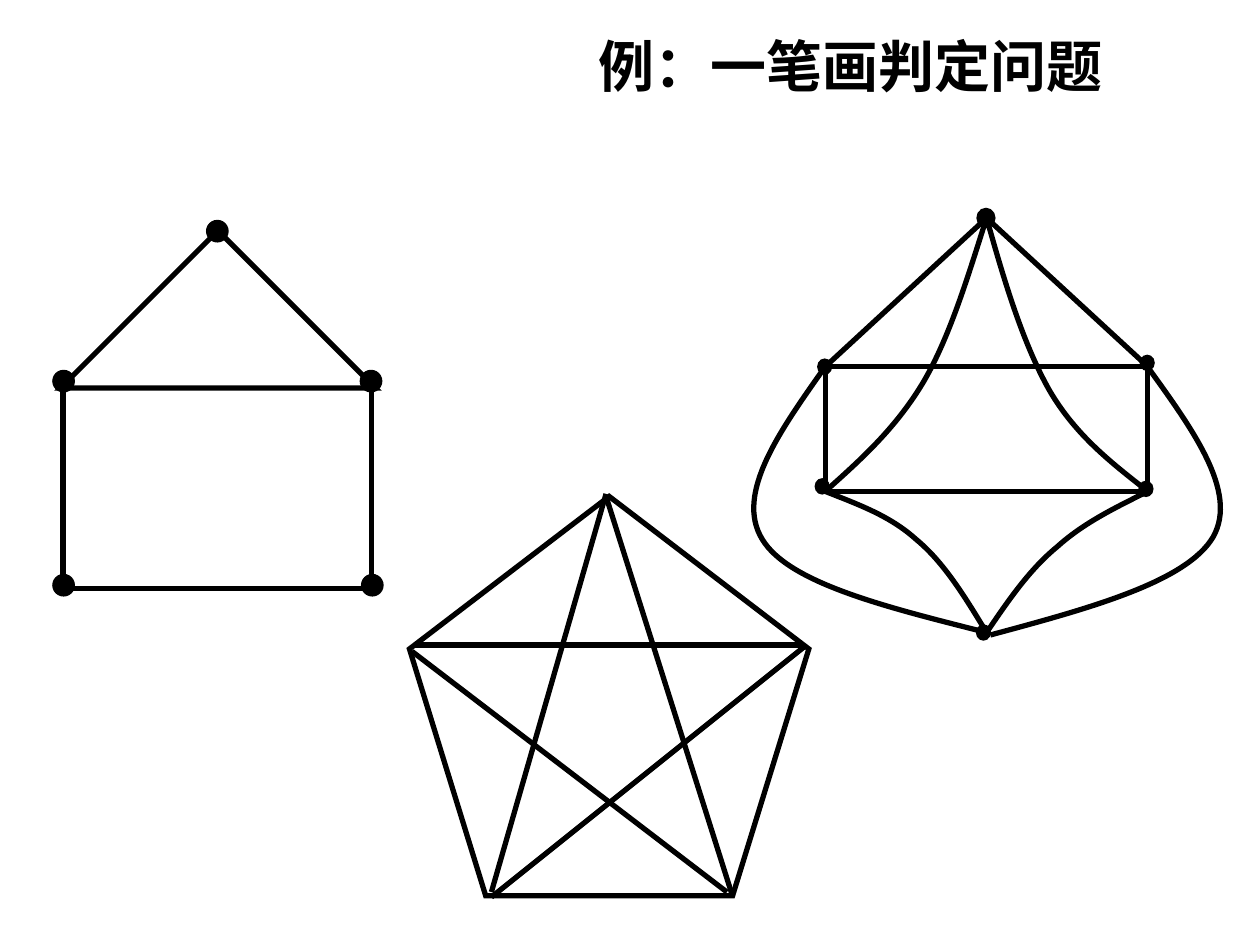
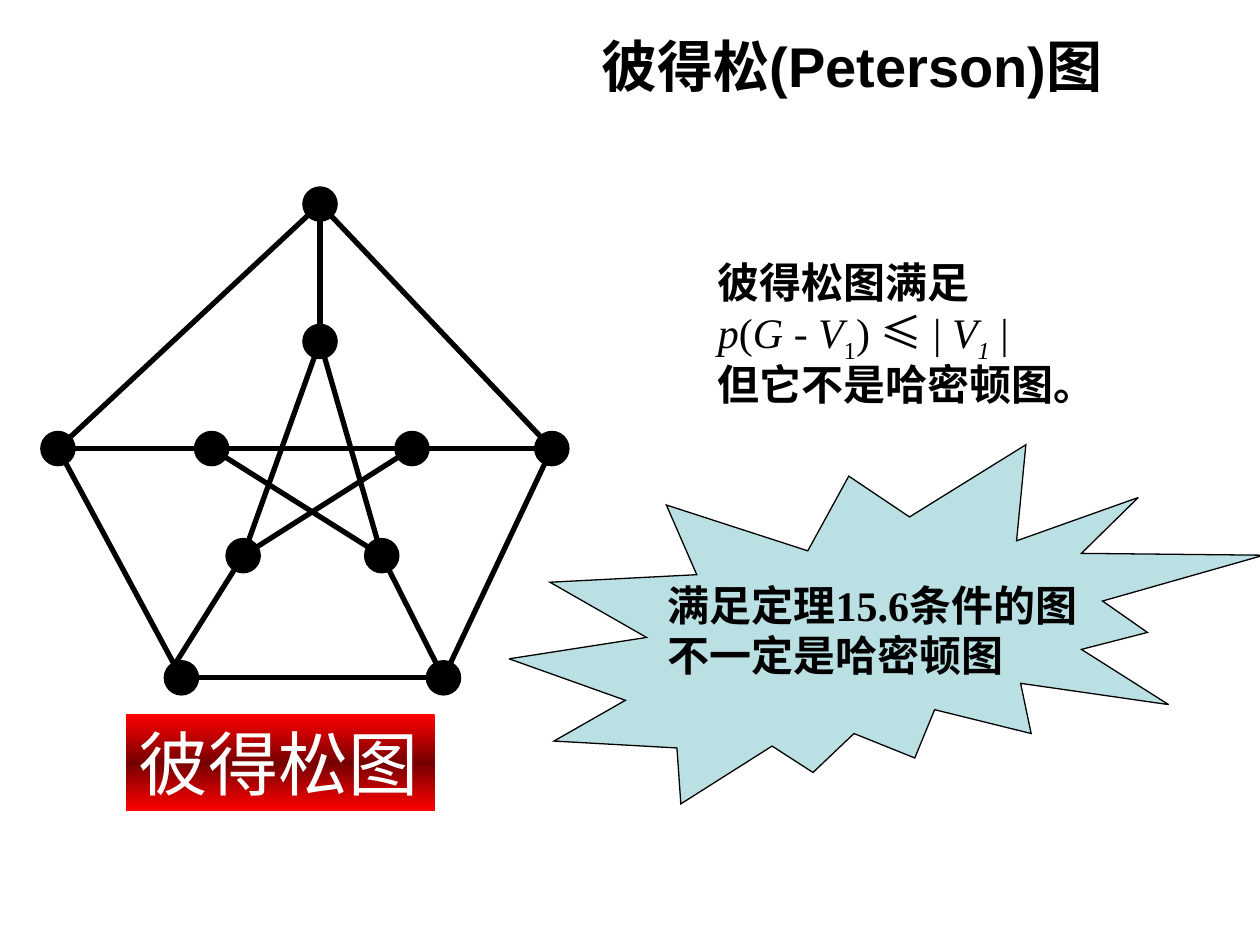
from copy import deepcopy

from pptx import Presentation
from pptx import util as u
from pptx.dml.color import RGBColor
from pptx.enum import shapes, text
from pptx.oxml.ns import qn

PX = 9144  # 100 px to the inch
BLACK = RGBColor(0, 0, 0)
WHITE = RGBColor(255, 255, 255)
RED = RGBColor(255, 0, 0)
DARK = RGBColor(0x76, 0, 0)
TEAL = RGBColor(0xBB, 0xE0, 0xE3)
SANS, SERIF, HAN = "Arial", "Times New Roman", "Noto Sans CJK SC"
KIND = shapes.MSO_SHAPE


def write(para, words, size=24, font=HAN, bold=False, italic=False,
          color=BLACK, base=0):
    run = para.add_run()
    run.text = words
    face = run.font
    face.size, face.name = u.Pt(size), font
    face.bold, face.italic = bold, italic
    face.color.rgb = color
    props = run._r.get_or_add_rPr()
    if base:
        props.set("baseline", str(base * 1000))
    props.append(props.makeelement(qn("a:ea"), {"typeface": HAN}))


def ink(item, width=3, fill=None):
    item.line.color.rgb = BLACK
    item.line.width = u.Pt(width)
    line = item.line._get_or_add_ln()
    line.append(line.makeelement(qn("a:miter"), {"lim": "800000"}))
    if fill is not None:
        item.fill.solid()
        item.fill.fore_color.rgb = fill
    elif hasattr(item, "fill"):
        item.fill.background()
    if hasattr(item, "shadow"):
        item.shadow.inherit = False
    else:
        props = item._element.spPr
        props.append(props.makeelement(qn("a:effectLst"), {}))


deck = Presentation()
deck.slide_width, deck.slide_height = 1000 * PX, 750 * PX

# Slides and their titles
pages = []
for title in ("例：一笔画判定问题", "彼得松(Peterson)图"):
    page = deck.slides.add_slide(deck.slide_layouts[6])
    frame = page.shapes.add_textbox(216 * PX, 29 * PX, 669 * PX, 46 * PX).text_frame
    frame.word_wrap = True
    frame.vertical_anchor = text.MSO_ANCHOR.MIDDLE
    frame.paragraphs[0].alignment = text.PP_ALIGN.RIGHT
    write(frame.paragraphs[0], title, size=32, font=SANS, bold=True)
    pages.append(page)
strokes, graph = pages

# Condition that the graph meets
frame = graph.shapes.add_textbox(560 * PX, 199 * PX, 517 * PX, 127 * PX).text_frame
frame.word_wrap = True
write(frame.paragraphs[0], "彼得松图满足", bold=True)
rule = frame.add_paragraph()
rule.line_spacing = 0.9
for words, font, italic, base in (
    ("p", SERIF, True, 0), ("(", SERIF, False, 0), ("G - V", SERIF, True, 0),
    ("1", SERIF, False, -25), (") ", SERIF, False, 0), ("≤", HAN, False, 0),
    (" | ", SERIF, False, 0), ("V", SERIF, True, 0), ("1", SERIF, True, -25),
    (" |", SERIF, False, 0),
):
    write(rule, words, font=font, italic=italic, base=base)
write(frame.add_paragraph(), "但它不是哈密顿图。", bold=True)

# Straight edges
house = [(295, 308, 295, 467), (50, 308, 50, 467), (48, 467, 298, 467)]
roof = [(783, 173, 655, 291), (783, 173, 911, 291)]
star = [(390, 708, 481, 392), (581, 710, 481, 394), (640, 512, 390, 712),
        (577, 708, 327, 517), (329, 512, 638, 512)]
outer = [(254, 162), (438, 356), (352, 538), (144, 538), (46, 356)]
inner = [(254, 271), (327, 356), (303, 441), (193, 441), (168, 356)]
ring = [outer[i] + outer[(i + 1) % 5] for i in range(5)]
pent = [inner[i] + inner[(i + 2) % 5] for i in range(5)]
spokes = [inner[0] + outer[0], inner[2] + outer[2], inner[3] + (132, 538),
          outer[4] + (450, 356), inner[0] + (266, 271)]

# Curved edges: a start, then cubic pieces of two handles and an end
curves = (
    ((783, 173), (768, 220), (754, 267), (733, 303),
     (711, 340), (683, 365), (655, 390)),
    ((783, 173), (797, 223), (812, 273), (833, 310),
     (854, 346), (883, 368), (911, 390)),
    ((911, 390), (885, 403), (860, 415), (839, 434),
     (817, 452), (800, 477), (783, 502)),
    ((655, 390), (680, 400), (706, 409), (727, 428),
     (749, 446), (766, 474), (783, 502)),
    ((910, 290), (946, 340), (983, 390), (963, 426),
     (942, 462), (864, 483), (786, 504)),
    ((655, 291), (619, 342), (583, 392), (605, 428),
     (626, 463), (704, 482), (783, 502)),
)

# Dots: width, height, line width, top left corners
ends = [(17, 17, 0.75, [(164, 175), (42, 294), (286, 294), (42, 456), (287, 456)])]
knots = [(11, 12, 3, [(777, 167)]),
         (11, 12, 0.75, [(649, 285), (905, 282), (647, 380), (904, 382), (775, 496)])]
nodes = [(24, 24, 3, [(x - 12, y - 12) for x, y in outer + inner])]

# Each figure: page, outline, box, straight edges, curves, dots
for page, kind, box, edges, bends, dots in (
    (strokes, KIND.ISOSCELES_TRIANGLE, (48, 183, 250, 125), house, (), ends),
    (strokes, KIND.RECTANGLE, (655, 291, 256, 99), roof, curves, knots),
    (strokes, KIND.REGULAR_PENTAGON, (325, 394, 317, 317), star, (), ()),
    (graph, None, (), ring + pent + spokes, (), nodes),
):
    group = page.shapes.add_group_shape().shapes
    if kind:
        ink(group.add_shape(kind, *(n * PX for n in box)))
    for edge in edges:
        ink(group.add_connector(
            shapes.MSO_CONNECTOR.STRAIGHT, *(n * PX for n in edge)))
    for start, *spots in bends:
        pen = group.build_freeform(*start, scale=PX)
        pen.add_line_segments(spots, close=False)
        bend = pen.convert_to_shape()
        legs = list(bend._element.iter(qn("a:lnTo")))
        for i in range(0, len(legs), 3):
            cubic = legs[i].makeelement(qn("a:cubicBezTo"), {})
            legs[i].addprevious(cubic)
            for leg in legs[i:i + 3]:
                cubic.append(leg[0])
                leg.getparent().remove(leg)
        ink(bend)
    for wide, high, line, spots in dots:
        for x, y in spots:
            ink(group.add_shape(KIND.OVAL, x * PX, y * PX, wide * PX, high * PX),
                line, BLACK)

# Name plate with a red gradient
plate = graph.shapes.add_shape(KIND.RECTANGLE, 100 * PX, 567 * PX, 245 * PX, 77 * PX)
plate.shadow.inherit = False
plate.line.fill.background()
plate.fill.gradient()
plate.fill.gradient_angle = 90
stops = plate._element.spPr.find(".//" + qn("a:gsLst"))
stops.append(deepcopy(stops[0]))
for stop, spot, color in zip(plate.fill.gradient_stops, (0, 0.5, 1), (RED, DARK, RED)):
    stop.position = spot
    stop.color.rgb = color
frame = plate.text_frame
frame.word_wrap = False
frame.vertical_anchor = text.MSO_ANCHOR.MIDDLE
frame.paragraphs[0].alignment = text.PP_ALIGN.LEFT
write(frame.paragraphs[0], "彼得松图", size=40, font=SERIF, color=WHITE)

# Burst with the remark
group = graph.shapes.add_group_shape().shapes
burst = group.add_shape(KIND.EXPLOSION2, 404 * PX, 353 * PX, 599 * PX, 285 * PX)
ink(burst, 0.75, TEAL)
frame = group.add_textbox(520 * PX, 455 * PX, 349 * PX, 91 * PX).text_frame
frame.word_wrap = True
for words, font in (("满足定理", HAN), ("15.6", SERIF), ("条件的图不一定是哈密顿图", HAN)):
    write(frame.paragraphs[0], words, font=font, bold=True)

deck.save("out.pptx")
